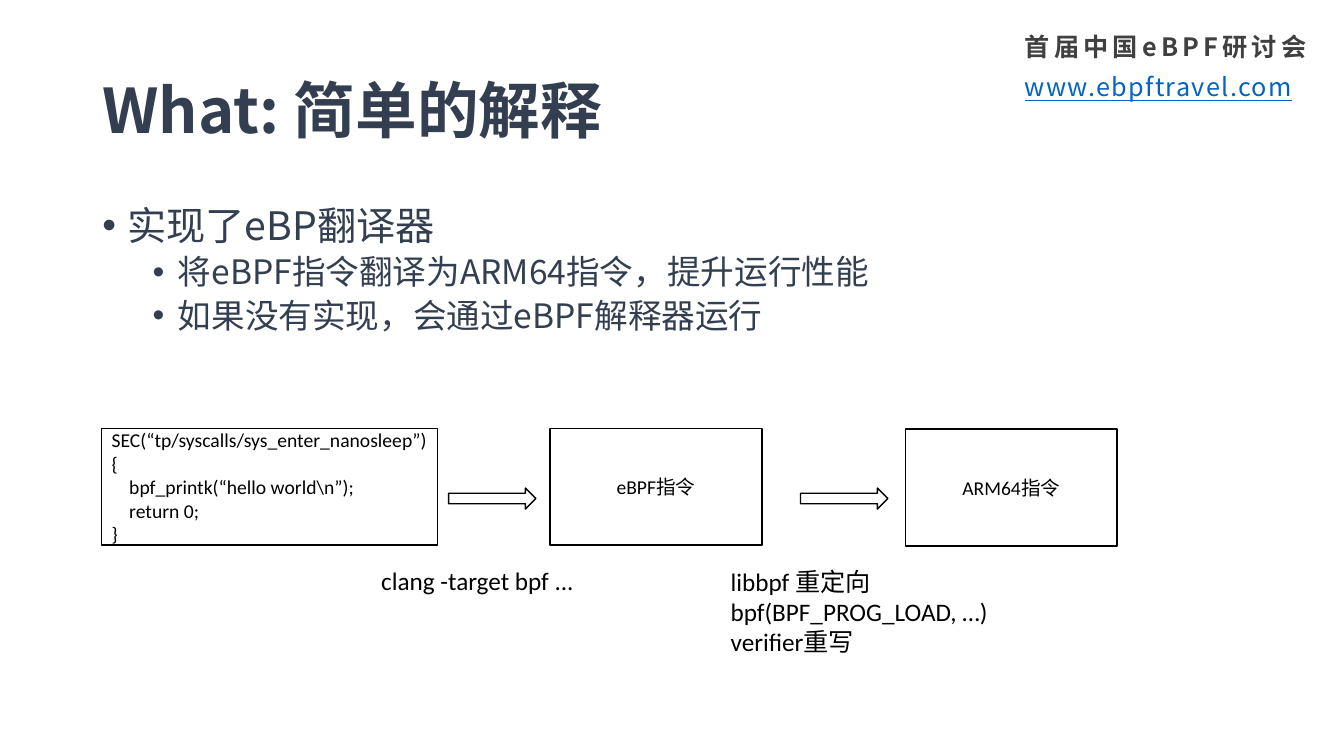
from dataclasses import dataclass

from lxml import etree
from pptx import Presentation
from pptx.dml.color import RGBColor
from pptx.enum.shapes import MSO_SHAPE
from pptx.enum.text import MSO_ANCHOR, PP_ALIGN
from pptx.oxml.ns import qn
from pptx.util import Inches, Pt

RECT = MSO_SHAPE.RECTANGLE
ARROW = MSO_SHAPE.RIGHT_ARROW
TOP, MIDDLE = MSO_ANCHOR.TOP, MSO_ANCHOR.MIDDLE
LEFT, CENTER = PP_ALIGN.LEFT, PP_ALIGN.CENTER

WIDE, HIGH = Inches(13.333), Inches(7.5)
COLS, ROWS = 16, 9


@dataclass(frozen=True)
class Theme:
    sans: str = "Noto Sans CJK SC"
    plain: str = "Calibri"
    ink: str = "000000"
    navy: str = "333F50"
    gray: str = "404040"
    link: str = "0563C1"
    title: int = 44
    lead: int = 28
    point: int = 24
    note: int = 18
    box: int = 14
    line: int = 1
    tight: float = 0.9


THEME = Theme()


def place(col, row, cols, rows):
    return (round(WIDE * col / COLS), round(HIGH * row / ROWS),
            round(WIDE * cols / COLS), round(HIGH * rows / ROWS))


def style(para, size, color, face, bold=False, under=False, track=0):
    font = para.font
    font.size, font.name = Pt(size), face
    font.color.rgb = RGBColor.from_string(color)
    if bold:
        font.bold = True
    if under:
        font.underline = True
    props = para._p.pPr.find(qn("a:defRPr"))
    if track:
        props.set("spc", str(track * 100))
    latin = props.find(qn("a:latin"))
    latin.addnext(etree.Element(qn("a:ea"), typeface=THEME.sans))


def write(frame, lines, size, color, face, align=LEFT, **looks):
    for i, line in enumerate(lines):
        para = frame.paragraphs[0] if i == 0 else frame.add_paragraph()
        para.text = line
        para.alignment = align
        style(para, size, color, face, **looks)


def label(slide, spot, lines, size, color, face, wrap=True, anchor=TOP, **looks):
    frame = slide.shapes.add_textbox(*place(*spot)).text_frame
    frame.word_wrap = wrap
    frame.vertical_anchor = anchor
    write(frame, lines, size, color, face, **looks)
    return frame


def shape(slide, kind, spot, lines=(), align=CENTER):
    item = slide.shapes.add_shape(kind, *place(*spot))
    item.shadow.inherit = False
    item.fill.background()
    item.line.color.rgb = RGBColor.from_string(THEME.ink)
    item.line.width = Pt(THEME.line)
    write(item.text_frame, lines, THEME.box, THEME.ink, THEME.plain, align)


def bullets(slide, spot, items):
    frame = slide.shapes.add_textbox(*place(*spot)).text_frame
    frame.word_wrap = True
    for i, (level, text) in enumerate(items):
        para = frame.paragraphs[0] if i == 0 else frame.add_paragraph()
        para.text = text
        para.level = level
        props = para._p.get_or_add_pPr()
        props.set("marL", str(Inches(0.25 + 0.5 * level)))
        props.set("indent", str(Inches(-0.25)))
        etree.SubElement(props, qn("a:buFont"), typeface="Arial")
        etree.SubElement(props, qn("a:buChar"), char="•")
        para.line_spacing = THEME.tight
        if i:
            para.space_before = Pt(5)
        size = THEME.point if level else THEME.lead
        style(para, size, THEME.navy, THEME.sans)


def header(slide):
    label(slide, (12.08, 0.31, 3.8, 0.48), ["首届中国eBPF研讨会"],
          THEME.note, THEME.gray, THEME.sans, bold=True, track=3)
    label(slide, (12.08, 0.79, 3.8, 0.48), ["www.ebpftravel.com"],
          THEME.note, THEME.link, THEME.sans, under=True, track=1)
    title = label(slide, (1.1, 0.48, 13.8, 1.74), ["What: 简单的解释"],
                  THEME.title, THEME.navy, THEME.sans, anchor=MIDDLE, bold=True)
    title.paragraphs[0].line_spacing = THEME.tight


def flow(slide):
    code = ["SEC(“tp/syscalls/sys_enter_nanosleep”)", "{",
            "    bpf_printk(“hello world\\n”);", "    return 0;", "}"]
    shape(slide, RECT, (1.21, 5.1, 4, 1.39), code, LEFT)
    for col, row, text in ((6.55, 5.1, "eBPF指令"), (10.78, 5.11, "ARM64指令")):
        shape(slide, RECT, (col, row, 2.52, 1.39), [text])
    for col in (5.34, 9.53):
        shape(slide, ARROW, (col, 5.81, 1.04, 0.25))
    steps = (
        ((4.42, 6.67, 2.56, 0.48), ["clang -target bpf ..."]),
        ((8.58, 6.68, 3.34, 1.21),
         ["libbpf 重定向", "bpf(BPF_PROG_LOAD, …)", "verifier重写"]),
    )
    for spot, lines in steps:
        label(slide, spot, lines, THEME.note, THEME.ink, THEME.plain, wrap=False)


def main():
    deck = Presentation()
    deck.slide_width, deck.slide_height = WIDE, HIGH
    slide = deck.slides.add_slide(deck.slide_layouts[6])
    header(slide)
    bullets(slide, (1.1, 2.4, 13.8, 5.71), (
        (0, "实现了eBP翻译器"),
        (1, "将eBPF指令翻译为ARM64指令，提升运行性能"),
        (1, "如果没有实现，会通过eBPF解释器运行"),
    ))
    flow(slide)
    deck.save("out.pptx")


if __name__ == "__main__":
    main()
